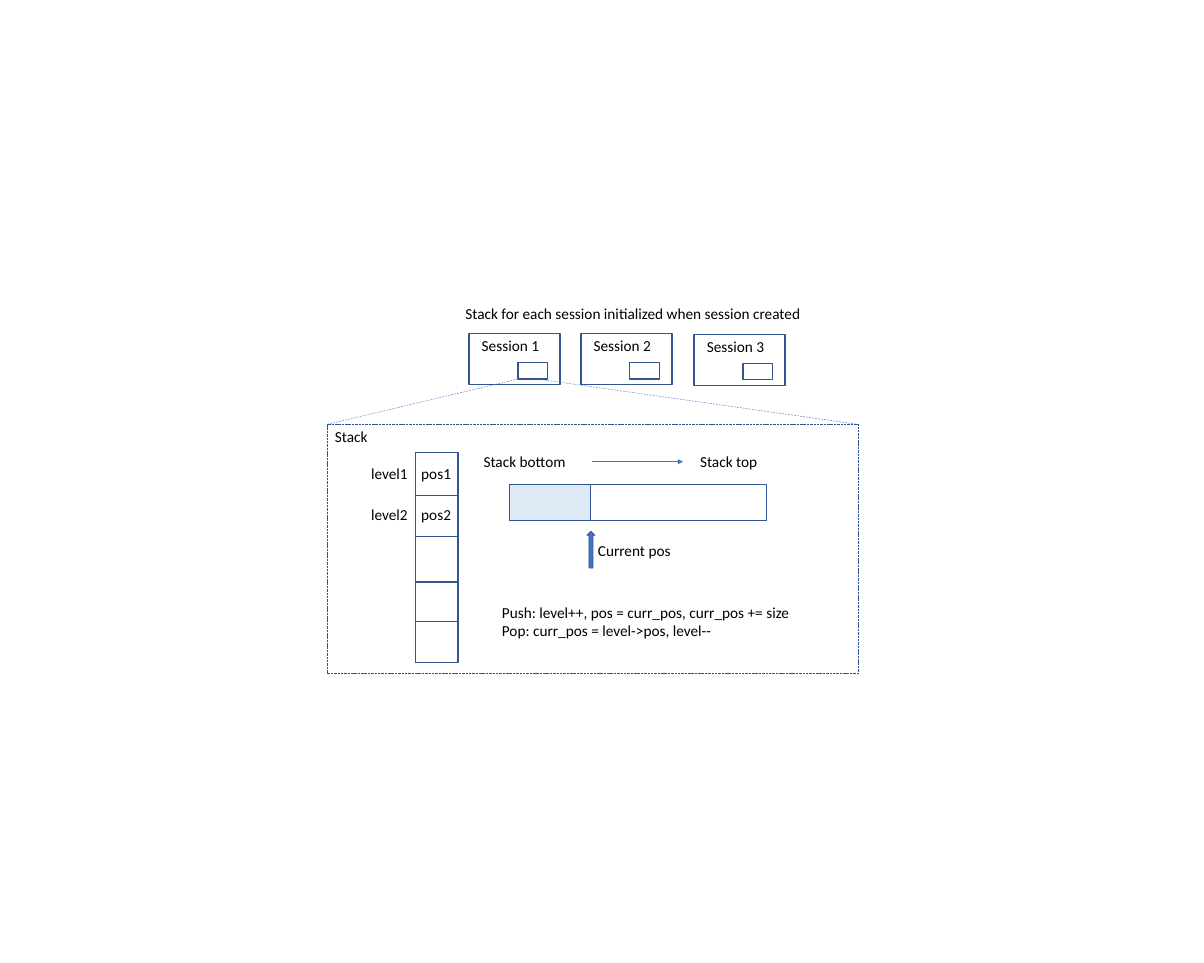
"""Build the slide that explains the per-session stack."""
import pptx
import pptx.util
import pptx.dml.color
import pptx.enum.dml
import pptx.enum.shapes
import pptx.enum.text
from lxml import etree
from pptx.oxml import ns

Inches = pptx.util.Inches
RGBColor = pptx.dml.color.RGBColor
SHAPE = pptx.enum.shapes.MSO_SHAPE
DASH = pptx.enum.dml.MSO_LINE

NAVY = RGBColor(0x32, 0x54, 0x91)
BLUE = RGBColor(0x44, 0x72, 0xC4)
PALE_BLUE = RGBColor(0xDE, 0xEB, 0xF7)
BLACK = RGBColor(0, 0, 0)

deck = pptx.Presentation()
deck.slide_width = Inches(19.69)
deck.slide_height = Inches(15.75)
page = deck.slides.add_slide(deck.slide_layouts[5])


def add_box(left, top, width, height, weight=1.5, fill=None, kind=SHAPE.RECTANGLE):
    box = page.shapes.add_shape(
        kind, Inches(left), Inches(top), Inches(width), Inches(height))
    box.shadow.inherit = False
    if fill is None:
        box.fill.background()
    else:
        box.fill.solid()
        box.fill.fore_color.rgb = fill
    box.line.color.rgb = NAVY
    box.line.width = pptx.util.Pt(weight)
    return box


def write(words, left, top, width, height=0.62, box=None):
    if box is None:
        box = page.shapes.add_textbox(0, 0, 0, 0)
    box.left, box.top = Inches(left), Inches(top)
    box.width, box.height = Inches(width), Inches(height)
    frame = box.text_frame
    frame.text = words
    frame.word_wrap = False
    frame.auto_size = pptx.enum.text.MSO_AUTO_SIZE.SHAPE_TO_FIT_TEXT
    frame.vertical_anchor = pptx.enum.text.MSO_ANCHOR.TOP
    for para in frame.paragraphs:
        para.alignment = pptx.enum.text.PP_ALIGN.LEFT
        para.font.name = "Calibri"
        para.font.size = pptx.util.Pt(18)
        para.font.color.rgb = BLACK


write("Stack for each session initialized when session created",
      7.51, 4.93, 10.13, box=page.shapes.title)

for number, (left, top) in enumerate([(7.67, 5.46), (9.5, 5.46), (11.35, 5.47)], 1):
    add_box(left, top, 1.49, 0.83)
    add_box(left + 0.8, top + 0.47, 0.48, 0.27)
    write(f"Session {number}", left + 0.11, top - 0.01, 1.91)

stack_frame = add_box(5.35, 6.94, 8.69, 4.07, weight=1)
stack_frame.line.dash_style = DASH.SQUARE_DOT
write("Stack", 5.38, 6.94, 1.17)

for top, height in [(7.4, 2.12), (8.11, 2.06), (8.78, 2.06)]:
    add_box(6.79, top, 0.7, height)
for level, top in enumerate([7.55, 8.22], 1):
    write(f"level{level}", 5.97, top, 1.26)
    write(f"pos{level}", 6.79, top, 1.09)

add_box(8.33, 7.92, 4.2, 0.6, weight=1)
add_box(8.33, 7.92, 1.33, 0.6, weight=1, fill=PALE_BLUE)
write("Stack bottom", 7.81, 7.34, 2.66)
write("Stack top", 11.35, 7.34, 1.92)
add_box(9.6, 8.69, 0.13, 0.6, weight=1, fill=BLUE, kind=SHAPE.UP_ARROW)
write("Current pos", 9.68, 8.81, 2.37)
write("Push: level++, pos = curr_pos, curr_pos += size\n"
      "Pop: curr_pos = level->pos, level--", 8.11, 9.81, 8.94, 1.13)

for start_x, start_y, end_x, end_y, dash in [
        (8.47, 6.2, 5.35, 6.94, DASH.DASH),
        (8.86, 6.21, 14.03, 6.94, DASH.DASH),
        (9.68, 7.55, 11.17, 7.55, None)]:
    connector = page.shapes.add_connector(
        pptx.enum.shapes.MSO_CONNECTOR.STRAIGHT,
        Inches(start_x), Inches(start_y), Inches(end_x), Inches(end_y))
    connector.line.color.rgb = BLUE
    connector.line.width = pptx.util.Pt(0.5)
    if dash is None:
        etree.SubElement(connector.line._get_or_add_ln(),
                         ns.qn("a:tailEnd"), type="triangle")
    else:
        connector.line.dash_style = dash
    etree.SubElement(connector._element.spPr, ns.qn("a:effectLst"))

deck.save("out.pptx")
